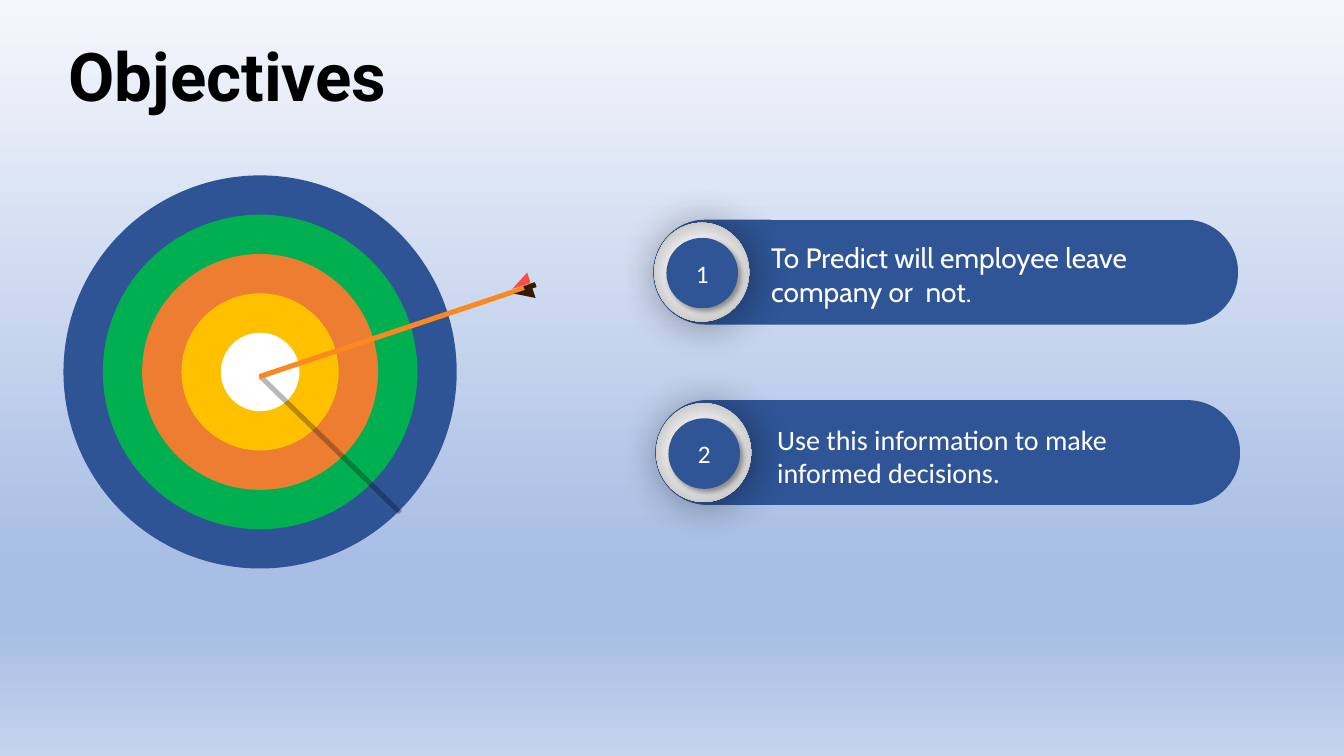
import lxml.etree
import pptx
import pptx.dml.color
import pptx.enum.shapes
import pptx.enum.text
import pptx.oxml.ns
import pptx.util

Inches = pptx.util.Inches
Kind = pptx.enum.shapes.MSO_SHAPE
Align = pptx.enum.text.PP_ALIGN
Anchor = pptx.enum.text.MSO_ANCHOR
qn = pptx.oxml.ns.qn

NAVY = "2F5496"
BLUE = [(0, "2F5597"), (83, "2F5597"), (100, "2F5395")]
SILVER = [(0, "FFFFFF"), (35, "FFFFFF"), (100, "A5A5A5")]
SKY = [(0, "F5F7FC"), (74, "A9BEE4"), (83, "A9BEE4"), (100, "C5D3ED")]


def color(code):
    return pptx.dml.color.RGBColor.from_string(code)


def add(parent, tag, **attrs):
    node = lxml.etree.SubElement(parent, qn(tag))
    for name, value in attrs.items():
        node.set(name, str(value))
    return node


class Deck:
    def __init__(self):
        self.show = pptx.Presentation()
        self.show.slide_width = Inches(13.33)
        self.show.slide_height = Inches(7.5)
        self.slide = self.show.slides.add_slide(self.show.slide_layouts[5])
        self.shapes = self.slide.shapes

    def blend(self, fill, root, stops, angle=None):
        fill.gradient()
        grad = root.find(".//" + qn("a:gradFill"))
        for child in list(grad):
            grad.remove(child)
        group = add(grad, "a:gsLst")
        for pos, code in stops:
            add(add(group, "a:gs", pos=pos * 1000), "a:srgbClr", val=code)
        if angle is None:
            focus = add(grad, "a:path", path="circle")
            add(focus, "a:fillToRect", l=50000, t=50000, r=50000, b=50000)
        else:
            add(grad, "a:lin", ang=angle * 60000, scaled=0)

    def paint(self, shape, fill, angle=None):
        shape.shadow.inherit = False
        shape.line.fill.background()
        if isinstance(fill, str):
            shape.fill.solid()
            shape.fill.fore_color.rgb = color(fill)
        else:
            self.blend(shape.fill, shape._element, fill, angle)

    def shape(self, kind, box, fill, adj=None, turn=0, angle=None):
        shape = self.shapes.add_shape(kind, *map(Inches, box))
        self.paint(shape, fill, angle)
        shape.rotation = turn
        if adj is not None:
            shape.adjustments[0] = adj
        return shape

    def outline(self, points, fill):
        spots = [(Inches(x), Inches(y)) for x, y in points]
        pen = self.shapes.build_freeform(*spots[0])
        pen.add_line_segments(spots[1:], close=True)
        self.paint(pen.convert_to_shape(), fill)

    def fade(self, shape, alpha):
        code = shape._element.spPr.find(qn("a:solidFill")).find(qn("a:srgbClr"))
        add(code, "a:alpha", val=alpha * 1000)

    def shadow(self, shape, blur):
        effect = shape._element.spPr.find(qn("a:effectLst"))
        cast = add(effect, "a:outerShdw", blurRad=blur * 12700, dist=38100,
                   dir=2700000, algn="tl", rotWithShape=0)
        add(add(cast, "a:srgbClr", val="000000"), "a:alpha", val=40000)

    def letter(self, shape, text, size, font, code="FFFFFF", bold=False,
               align=Align.LEFT, anchor=Anchor.TOP):
        frame = shape.text_frame
        frame.text = text
        frame.word_wrap = True
        frame.auto_size = pptx.enum.text.MSO_AUTO_SIZE.NONE
        frame.vertical_anchor = anchor
        for par in frame.paragraphs:
            par.alignment = align
            for run in par.runs:
                run.font.size = pptx.util.Pt(size)
                run.font.name = font
                run.font.bold = bold
                run.font.color.rgb = color(code)

    def title(self, text, box):
        title = self.shapes.title
        title.left, title.top, title.width, title.height = map(Inches, box)
        self.letter(title, text, 48, "Roboto", "000000", True)

    def label(self, text, box, font):
        self.letter(self.shapes.add_textbox(*map(Inches, box)), text, 20, font)

    def target(self, x, y, step, fills):
        for rank, fill in enumerate(fills):
            r = step * (len(fills) - rank)
            self.shape(Kind.OVAL, (x - r, y - r, 2 * r, 2 * r), fill)

    def arrow(self):
        shade = self.shape(Kind.ROUNDED_RECTANGLE, (3.25, 3.44, 0.05, 1.94),
                           "000000", 0.17, 314.3)
        self.fade(shade, 28)
        self.shape(Kind.ROUNDED_RECTANGLE, (3.87, 1.9, 0.05, 2.79),
                   "FB8922", 0.17, 71.5)
        self.outline([(5.19, 2.84), (5.3, 2.8), (5.31, 2.81), (5.32, 2.84),
                      (5.32, 2.85), (5.21, 2.88)], "351A01")
        self.shape(Kind.ISOSCELES_TRIANGLE, (5.1, 2.69, 0.11, 0.19),
                   "F94E43", 0, 252.3)
        wing = self.shape(Kind.ISOSCELES_TRIANGLE, (5.15, 2.84, 0.11, 0.19),
                          "351A01", 0, 251.4)
        wing._element.spPr.find(qn("a:xfrm")).set("flipH", "1")

    def goal(self, mark, x, y, text, left, top, font):
        self.shape(Kind.ROUNDED_RECTANGLE, (x, y, 5.8, 1.04), BLUE, 0.5,
                   angle=225)
        rim = self.shape(Kind.OVAL, (x + 0.01, y + 0.03, 0.94, 0.98), SILVER)
        self.shadow(rim, 30)
        badge = self.shape(Kind.OVAL, (x + 0.13, y + 0.18, 0.71, 0.7), BLUE,
                           angle=225)
        self.shadow(badge, 4)
        self.letter(badge, mark, 18, "Calibri", align=Align.CENTER,
                    anchor=Anchor.MIDDLE)
        self.label(text, (left, top, 4.26, 0.77), font)


def main():
    deck = Deck()
    deck.blend(deck.slide.background.fill, deck.slide._element, SKY, 90)
    deck.title("Objectives", (0.58, 0.29, 7.08, 0.91))
    deck.target(2.58, 3.69, 0.39,
                [NAVY, "00B050", "ED7D31", "FFC000", "FFFFFF"])
    deck.arrow()
    deck.goal("1", 6.48, 2.18, "To Predict will employee leave company or  not.",
              7.55, 2.34, "Cabin")
    deck.goal("2", 6.5, 3.97, "Use this information to make informed decisions.",
              7.61, 4.14, "Calibri")
    deck.show.save("out.pptx")


if __name__ == "__main__":
    main()
